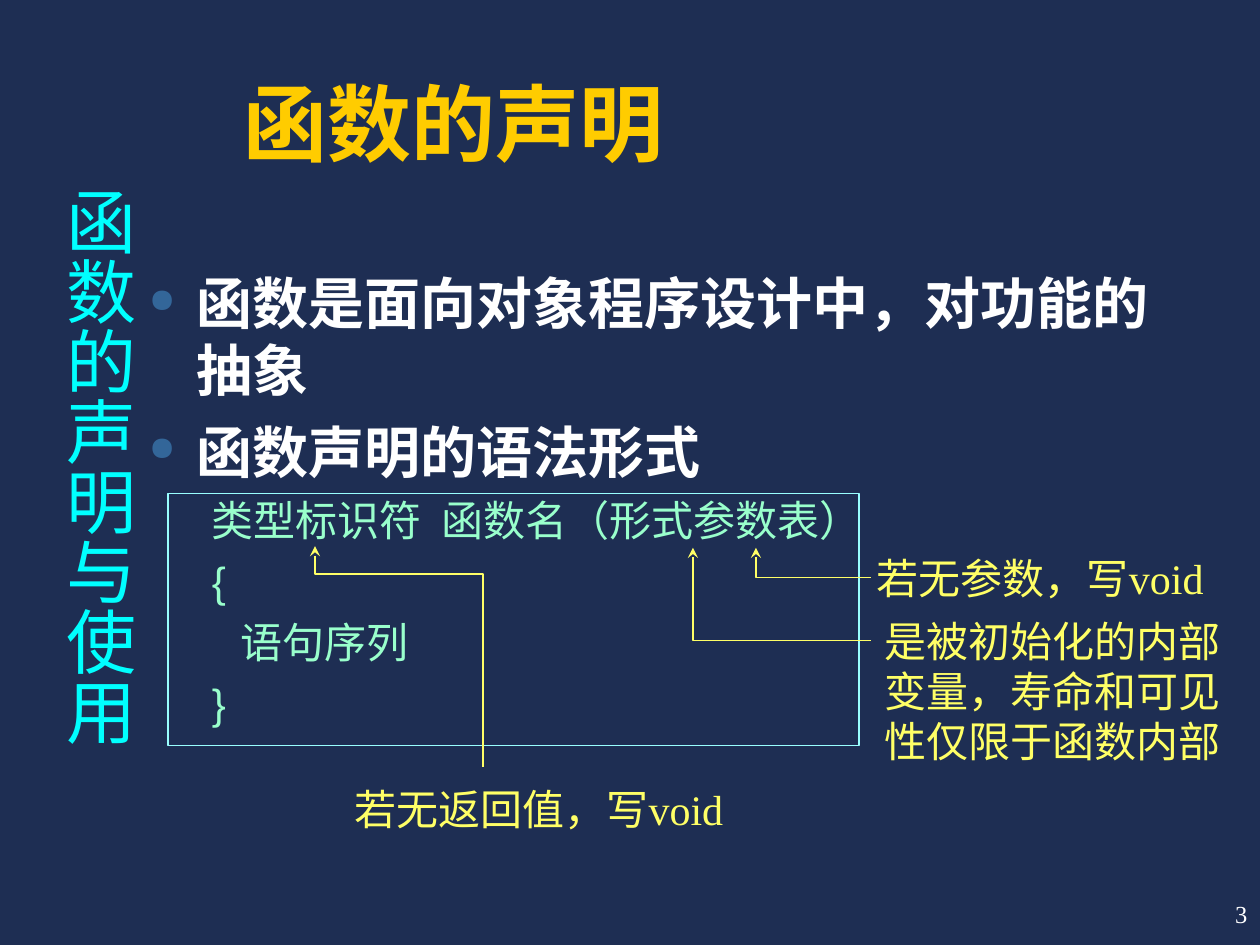
from lxml import etree
from pptx import Presentation
from pptx.dml.color import RGBColor
from pptx.enum.shapes import MSO_SHAPE
from pptx.enum.text import MSO_ANCHOR, PP_ALIGN
from pptx.oxml.ns import qn
from pptx.util import Pt

RECTANGLE = MSO_SHAPE.RECTANGLE
TOP, MIDDLE, BOTTOM = MSO_ANCHOR.TOP, MSO_ANCHOR.MIDDLE, MSO_ANCHOR.BOTTOM
LEFT, RIGHT = PP_ALIGN.LEFT, PP_ALIGN.RIGHT
SANS, SERIF = "Arial", "Times New Roman"
BLANK_LAYOUT = 6
COLORS = {
    "background": "1E2E53",
    "title": "FFCC00",
    "body": "FFFFFF",
    "bullet": "336699",
    "syntax": "99FFCC",
    "frame": "99FFFF",
    "note": "FFFF66",
    "chapter": "00FFFF",
}


def rgb(name):
    return RGBColor.from_string(COLORS[name])


def add_run(paragraph, text, size, color, font=SERIF, bold=False):
    run = paragraph.add_run()
    run.text = text
    run.font.size = Pt(size)
    run.font.name = font
    run.font.bold = bold
    run.font.color.rgb = rgb(color)
    return run


def add_box(slide, left, top, width, height, wrap=True, anchor=TOP):
    shape = slide.shapes.add_textbox(Pt(left), Pt(top), Pt(width), Pt(height))
    frame = shape.text_frame
    frame.word_wrap = wrap
    frame.vertical_anchor = anchor
    return frame


def add_label(slide, position, text, size, color, font=SERIF, bold=False,
              wrap=True, anchor=TOP, align=LEFT):
    frame = add_box(slide, *position, wrap=wrap, anchor=anchor)
    paragraph = frame.paragraphs[0]
    paragraph.alignment = align
    add_run(paragraph, text, size, color, font, bold)
    return frame


def add_chapter(slide):
    frame = add_label(slide, (22, 72, 62, 390), "函数的声明与使用", 40, "chapter")
    frame.margin_left = frame.margin_right = Pt(3.6)
    frame.margin_top = Pt(35)
    frame.margin_bottom = Pt(7.2)
    frame._txBody.bodyPr.set("vert", "eaVert")


def next_paragraph(frame, space):
    paragraph = frame.paragraphs[0]
    if paragraph.runs:
        paragraph = frame.add_paragraph()
        paragraph.space_before = Pt(space)
    return paragraph


def set_indent(paragraph, margin, hanging):
    properties = paragraph._p.get_or_add_pPr()
    properties.set("marL", str(Pt(margin)))
    properties.set("indent", str(-Pt(hanging)))
    return properties


def add_bullet(frame, text):
    paragraph = next_paragraph(frame, 8)
    properties = set_indent(paragraph, 27, 27)
    color = etree.SubElement(properties, qn("a:buClr"))
    etree.SubElement(color, qn("a:srgbClr"), val=COLORS["bullet"])
    etree.SubElement(properties, qn("a:buSzPct"), val="60000")
    etree.SubElement(properties, qn("a:buChar"), char="●")
    add_run(paragraph, text, 32, "body", SANS, True)


def add_syntax_line(frame, text):
    paragraph = next_paragraph(frame, 6)
    paragraph.level = 1
    set_indent(paragraph, 58.5, 22.5)
    add_run(paragraph, text, 24, "syntax", SANS)
    return paragraph


def add_body(slide):
    frame = add_box(slide, 78, 150, 606, 336)
    for text in ("函数是面向对象程序设计中，对功能的抽象", "函数声明的语法形式"):
        add_bullet(frame, text)
    signature = add_syntax_line(frame, "类型标识符")
    gap = add_run(signature, " ", 24, "syntax", SANS)
    gap._r.get_or_add_rPr().set("spc", "600")
    add_run(signature, "函数名（形式参数表）", 24, "syntax", SANS)
    for text in ("{", "   语句序列", "}"):
        add_syntax_line(frame, text)


def add_frame(slide, left, top, width, height):
    shape = slide.shapes.add_shape(RECTANGLE, Pt(left), Pt(top), Pt(width), Pt(height))
    shape.shadow.inherit = False
    shape.fill.background()
    shape.line.color.rgb = rgb("frame")
    shape.line.width = Pt(1)


def add_arrow(slide, points):
    start, *others = [(Pt(x), Pt(y)) for x, y in points]
    builder = slide.shapes.build_freeform(*start)
    builder.add_line_segments(others, close=False)
    shape = builder.convert_to_shape()
    shape.shadow.inherit = False
    shape.fill.background()
    shape.line.color.rgb = rgb("note")
    shape.line.width = Pt(1)
    etree.SubElement(shape.line._get_or_add_ln(), qn("a:headEnd"), type="stealth")


def main():
    presentation = Presentation()
    presentation.slide_width, presentation.slide_height = Pt(720), Pt(540)
    slide = presentation.slides.add_slide(presentation.slide_layouts[BLANK_LAYOUT])
    slide.background.fill.solid()
    slide.background.fill.fore_color.rgb = rgb("background")

    add_label(slide, (570, 504, 150, 36), "3", 14, "body",
              wrap=False, anchor=MIDDLE, align=RIGHT)
    add_label(slide, (132, 18, 534, 84), "函数的声明", 48, "title",
              SANS, True, anchor=BOTTOM)
    add_body(slide)
    add_chapter(slide)
    add_frame(slide, 96, 282, 395, 144)

    add_arrow(slide, [(432, 313), (432, 330), (498, 330)])
    add_label(slide, (494, 312, 212, 36), "若无参数，写void", 24, "note", wrap=False)
    add_arrow(slide, [(396, 313), (396, 366), (498, 366)])
    add_label(slide, (498.5, 348, 216, 93.6),
              "是被初始化的内部变量，寿命和可见性仅限于函数内部", 24, "note")
    add_label(slide, (195.5, 444, 234, 36), "若无返回值，写void", 24, "note", wrap=False)
    add_arrow(slide, [(180, 312), (180, 328), (276, 328), (276, 438)])

    presentation.save("out.pptx")


if __name__ == "__main__":
    main()
